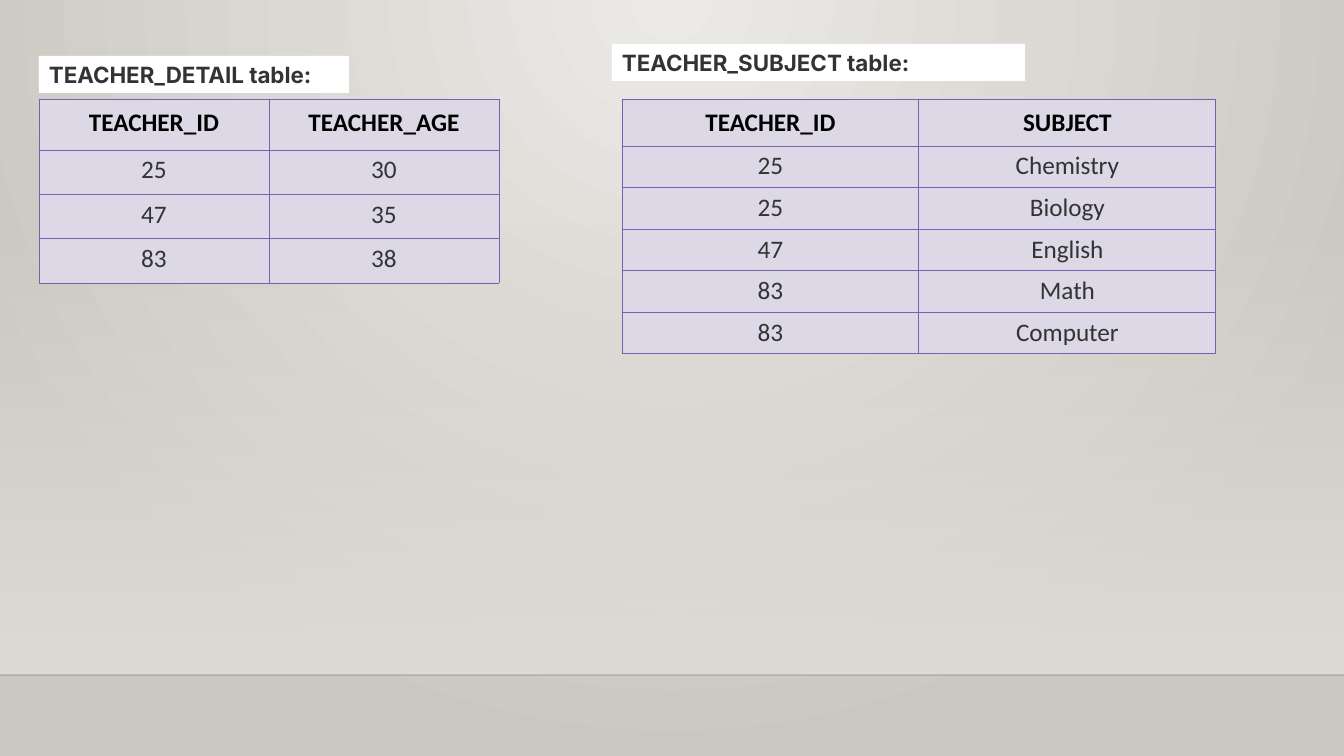
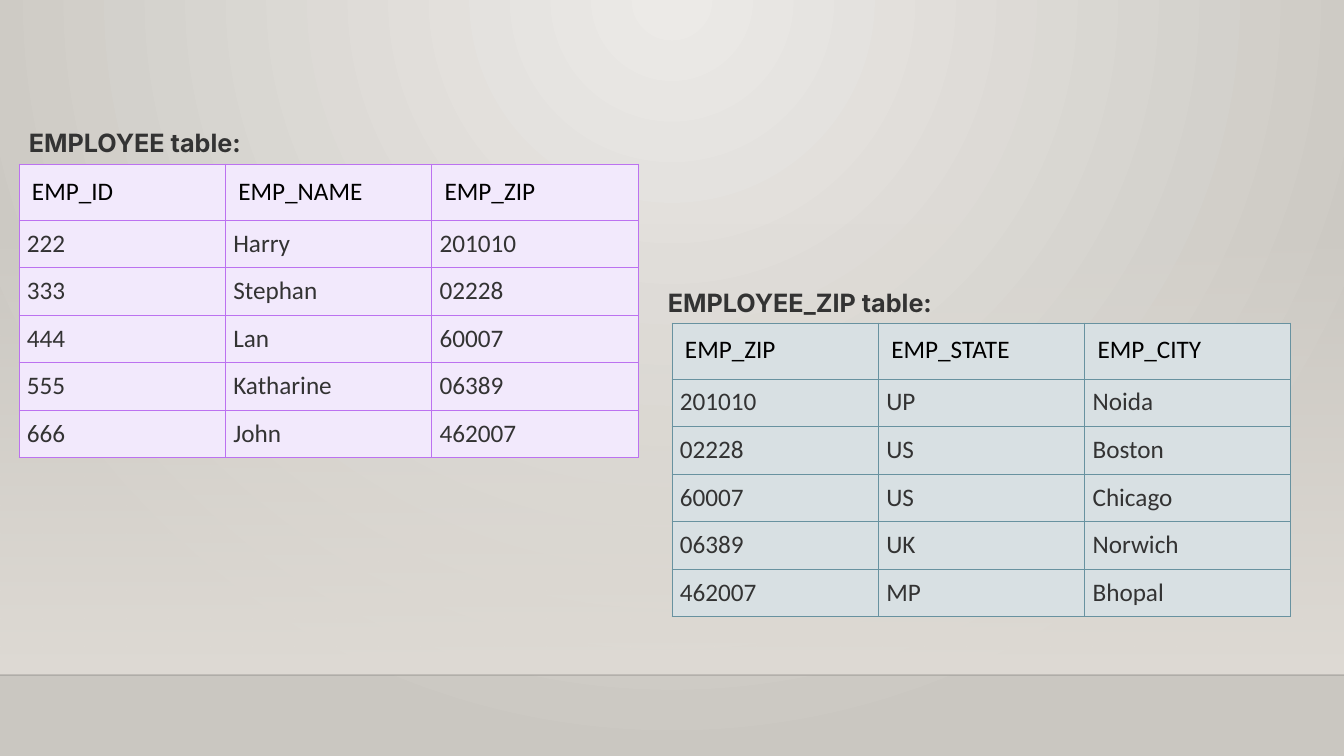
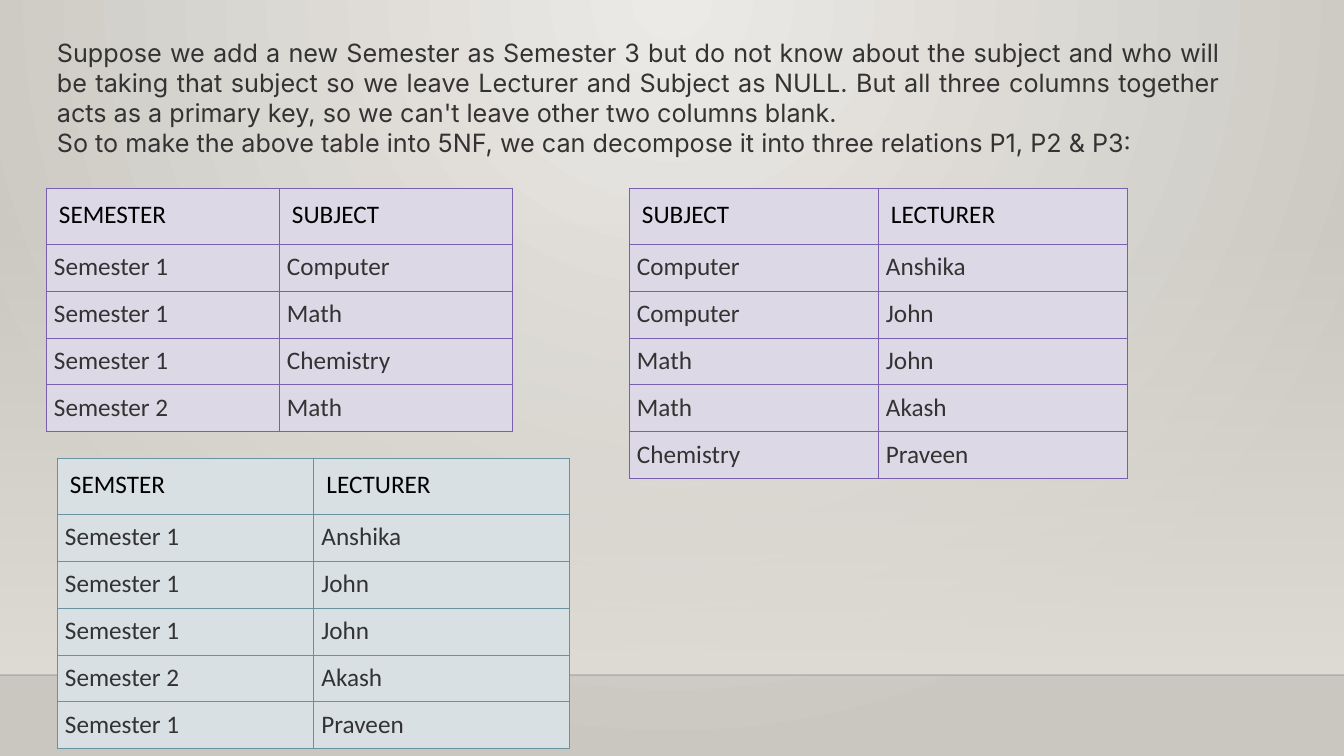
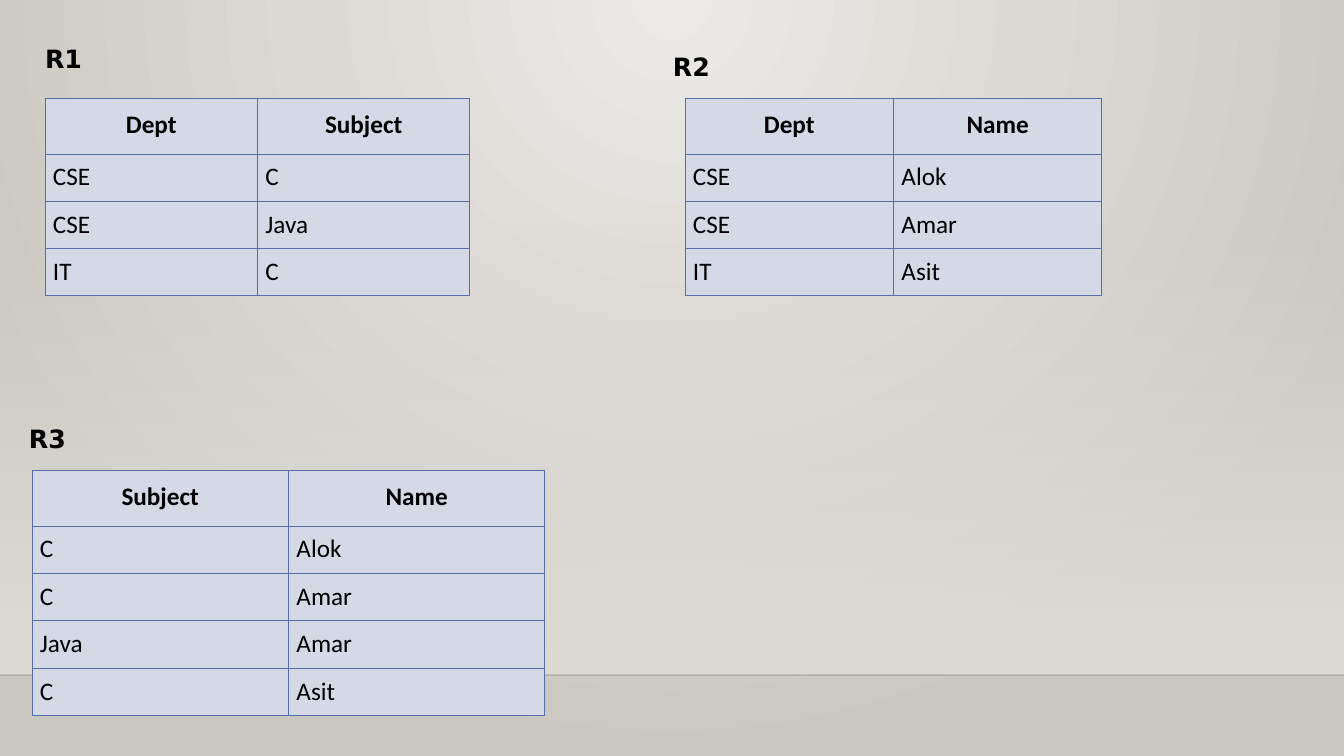
"""Build four slides of decomposed database tables on a shared backdrop."""
from collections import namedtuple

from lxml.etree import SubElement
from pptx import Presentation
from pptx.dml.color import RGBColor
from pptx.enum.shapes import MSO_CONNECTOR, MSO_SHAPE
from pptx.enum.text import MSO_ANCHOR, MSO_AUTO_SIZE, PP_ALIGN
from pptx.oxml.ns import qn
from pptx.util import Emu, Pt

W, H = 1344, 756
SCALE = 12192000 / W
BLACK, GREY, WHITE = "000000", "333333", "FFFFFF"
BACK = "ECEAE7", "CAC7C1"
BAND, EDGE = "DFDBD5", "000001"
BAND_TOP, BAND_BOTTOM = 223, 675
TABLE_FONT, SIZE = "Calibri", 18
LEFT, CENTER, JUSTIFY = PP_ALIGN.LEFT, PP_ALIGN.CENTER, PP_ALIGN.JUSTIFY

Theme = namedtuple("Theme", "fill border")
PURPLE = Theme("DCD8E6", "795FAF")
VIOLET = Theme("F2E9FC", "BC72F0")
TEAL = Theme("D8E0E3", "6892A0")
BLUE = Theme("D5D9E5", "586EA6")

CellStyle = namedtuple("CellStyle", "align color bold pad_x pad_y")
CENTERED = (CellStyle(CENTER, BLACK, True, 8, 8),
            CellStyle(CENTER, GREY, False, 5, 5))
PLAIN = (CellStyle(LEFT, BLACK, False, 13, 12),
         CellStyle(JUSTIFY, GREY, False, 8, 8))
RELATION = (CellStyle(CENTER, BLACK, True, 10, 12),
            CellStyle(LEFT, BLACK, False, 8, 8))

LabelStyle = namedtuple("LabelStyle", "font size color bold align fill")
TAG = LabelStyle("Inter", 16, GREY, True, JUSTIFY, WHITE)
CAPTION = LabelStyle("Inter", 18, GREY, True, LEFT, None)
BODY = LabelStyle("Inter", 18, GREY, False, JUSTIFY, None)
NAME = LabelStyle("DejaVu Sans", 18, BLACK, True, JUSTIFY, None)

Table = namedtuple("Table", "box head_h theme styles rows")
Label = namedtuple("Label", "box style lines pad", defaults=(True,))

SLIDES = [
    [
        Table((39, 99, 460, 184), 51, PURPLE, CENTERED, [
            ("TEACHER_ID", "TEACHER_AGE"),
            ("25", "30"), ("47", "35"), ("83", "38")]),
        Label((39, 56, 310, 37), TAG, ["TEACHER_DETAIL table:"]),
        Table((622, 99, 594, 255), 47, PURPLE, CENTERED, [
            ("TEACHER_ID", "SUBJECT"),
            ("25", "Chemistry"), ("25", "Biology"), ("47", "English"),
            ("83", "Math"), ("83", "Computer")]),
        Label((612, 44, 413, 37), TAG, ["TEACHER_SUBJECT table:"]),
    ],
    [
        Table((19, 164, 619, 294), 56, VIOLET, PLAIN, [
            ("EMP_ID", "EMP_NAME", "EMP_ZIP"),
            ("222", "Harry", "201010"), ("333", "Stephan", "02228"),
            ("444", "Lan", "60007"), ("555", "Katharine", "06389"),
            ("666", "John", "462007")]),
        Table((672, 323, 619, 294), 56, TEAL, PLAIN, [
            ("EMP_ZIP", "EMP_STATE", "EMP_CITY"),
            ("201010", "UP", "Noida"), ("02228", "US", "Boston"),
            ("60007", "US", "Chicago"), ("06389", "UK", "Norwich"),
            ("462007", "MP", "Bhopal")]),
        Label((19, 122, 863, 40), CAPTION, ["EMPLOYEE table:"]),
        Label((658, 282, 686, 40), CAPTION, ["EMPLOYEE_ZIP table:"]),
    ],
    [
        Label((47, 32, 1183, 132), BODY, [
            "Suppose we add a new Semester as Semester 3 but do not know "
            "about the subject and who will be taking that subject so we "
            "leave Lecturer and Subject as NULL. But all three columns "
            "together acts as a primary key, so we can't leave other two "
            "columns blank.",
            "So to make the above table into 5NF, we can decompose it into "
            "three relations P1, P2 & P3:"]),
        Table((46, 188, 466, 244), 56, PURPLE, PLAIN, [
            ("SEMESTER", "SUBJECT"),
            ("Semester 1", "Computer"), ("Semester 1", "Math"),
            ("Semester 1", "Chemistry"), ("Semester 2", "Math")]),
        Table((629, 188, 498, 291), 56, PURPLE, PLAIN, [
            ("SUBJECT", "LECTURER"),
            ("Computer", "Anshika"), ("Computer", "John"),
            ("Math", "John"), ("Math", "Akash"), ("Chemistry", "Praveen")]),
        Table((57, 458, 513, 291), 56, TEAL, PLAIN, [
            ("SEMSTER", "LECTURER"),
            ("Semester 1", "Anshika"), ("Semester 1", "John"),
            ("Semester 1", "John"), ("Semester 2", "Akash"),
            ("Semester 1", "Praveen")]),
    ],
    [
        Table((45, 98, 425, 198), 56, BLUE, RELATION, [
            ("Dept", "Subject"),
            ("CSE", "C"), ("CSE", "Java"), ("IT", "C")]),
        Table((685, 98, 417, 198), 56, BLUE, RELATION, [
            ("Dept", "Name"),
            ("CSE", "Alok"), ("CSE", "Amar"), ("IT", "Asit")]),
        Table((32, 470, 513, 246), 56, BLUE, RELATION, [
            ("Subject", "Name"),
            ("C", "Alok"), ("C", "Amar"), ("Java", "Amar"), ("C", "Asit")]),
        Label((45, 43, 256, 30), NAME, ["R1"], False),
        Label((663, 46, 672, 40), NAME, ["R2"]),
        Label((19, 418, 758, 40), NAME, ["R3"]),
    ],
]


def px(n):
    return Emu(round(n * SCALE))


def rgb(color):
    return RGBColor.from_string(color)


def set_alpha(color_el, percent):
    SubElement(color_el, qn("a:alpha"), val=str(percent * 1000))


def set_gradient(fill, colors):
    fill.gradient()
    for stop, color in zip(fill.gradient_stops, colors):
        stop.color.rgb = rgb(color)


def style_master(master):
    set_gradient(master.background.fill, BACK)
    grad = master._element.xpath(".//p:bg//a:gradFill")[0]
    grad.remove(grad.find(qn("a:lin")))
    focus = SubElement(grad, qn("a:path"))
    focus.set("path", "circle")
    SubElement(focus, qn("a:fillToRect"), l="43000", t="0", r="43000", b="100000")


def add_backdrop(s):
    band = s.shapes.add_shape(MSO_SHAPE.RECTANGLE, 0, px(BAND_TOP), px(W),
                              px(BAND_BOTTOM - BAND_TOP))
    band.shadow.inherit = False
    band.line.fill.background()
    set_gradient(band.fill, (BAND, BAND))
    band.fill.gradient_angle = 270
    set_alpha(band._element.xpath(".//a:gs/a:srgbClr")[0], 0)

    edge = s.shapes.add_connector(MSO_CONNECTOR.STRAIGHT, 0, px(BAND_BOTTOM),
                                  px(W), px(BAND_BOTTOM))
    edge.line.width = Pt(1)
    edge.line.color.rgb = rgb(EDGE)
    set_alpha(edge._element.xpath(".//a:ln//a:srgbClr")[0], 20)
    SubElement(edge._element.spPr, qn("a:effectLst"))


def write(p, text, font, size, color, bold, align):
    p.text = text
    p.alignment = align
    f = p.runs[0].font
    f.name, f.size, f.bold = font, Pt(size), bold
    f.color.rgb = rgb(color)


def add_borders(cell, color):
    tc_pr = cell._tc.get_or_add_tcPr()
    for side in ("lnL", "lnR", "lnT", "lnB"):
        ln = SubElement(tc_pr, qn(f"a:{side}"), w=str(Pt(0.75)))
        fill = SubElement(ln, qn("a:solidFill"))
        SubElement(fill, qn("a:srgbClr"), val=color)


def add_data_table(s, item):
    x, y, w, h = item.box
    n_rows, n_cols = len(item.rows), len(item.rows[0])
    table = s.shapes.add_table(n_rows, n_cols, *map(px, item.box)).table
    table.first_row = table.horz_banding = False
    for col in table.columns:
        col.width = px(w / n_cols)
    for i, values in enumerate(item.rows):
        style = item.styles[min(i, 1)]
        table.rows[i].height = px((h - item.head_h) / (n_rows - 1) if i else item.head_h)
        for cell, value in zip(table.rows[i].cells, values):
            cell.margin_left = cell.margin_right = px(style.pad_x)
            cell.margin_top = cell.margin_bottom = px(style.pad_y)
            add_borders(cell, item.theme.border)
            cell.fill.solid()
            cell.fill.fore_color.rgb = rgb(item.theme.fill)
            write(cell.text_frame.paragraphs[0], value, TABLE_FONT, SIZE,
                  style.color, style.bold, style.align)


def add_label(s, item):
    box, style = [px(n) for n in item.box], item.style
    if style.fill:
        sp = s.shapes.add_shape(MSO_SHAPE.RECTANGLE, *box)
        sp.shadow.inherit = False
        sp.fill.solid()
        sp.fill.fore_color.rgb = rgb(style.fill)
        sp.line.fill.background()
    else:
        sp = s.shapes.add_textbox(*box)
    tf = sp.text_frame
    tf.word_wrap = True
    tf.auto_size = MSO_AUTO_SIZE.SHAPE_TO_FIT_TEXT
    if style.fill or not item.pad:
        tf.vertical_anchor = MSO_ANCHOR.MIDDLE
    if not item.pad:
        tf.margin_left = tf.margin_right = tf.margin_top = tf.margin_bottom = 0
    for i, line in enumerate(item.lines):
        p = tf.add_paragraph() if i else tf.paragraphs[0]
        write(p, line, style.font, style.size, style.color, style.bold, style.align)


def main():
    prs = Presentation()
    prs.slide_width, prs.slide_height = px(W), px(H)
    style_master(prs.slide_master)
    for items in SLIDES:
        s = prs.slides.add_slide(prs.slide_layouts[6])
        add_backdrop(s)
        for item in items:
            add = add_data_table if isinstance(item, Table) else add_label
            add(s, item)
    prs.save("out.pptx")


if __name__ == "__main__":
    main()
